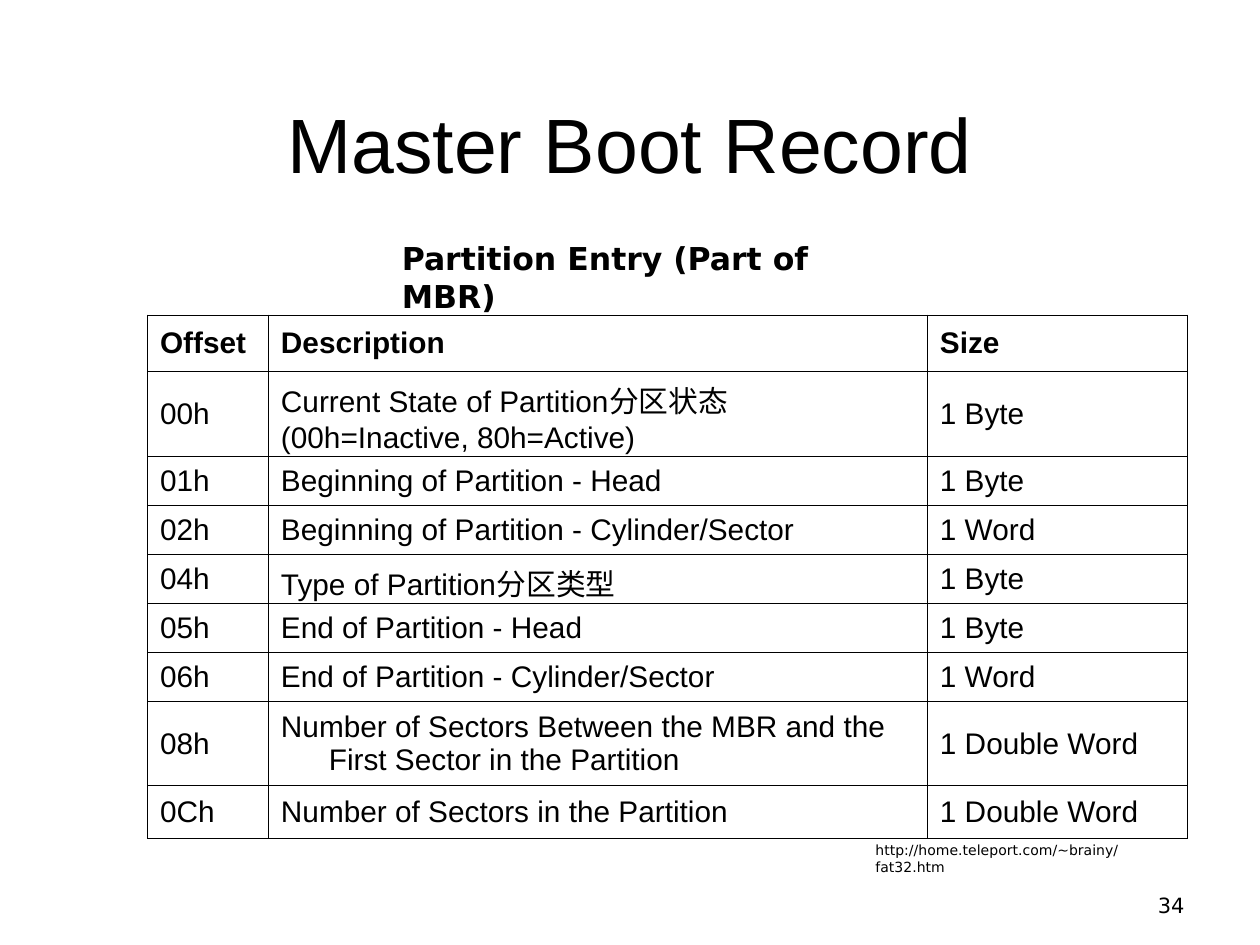
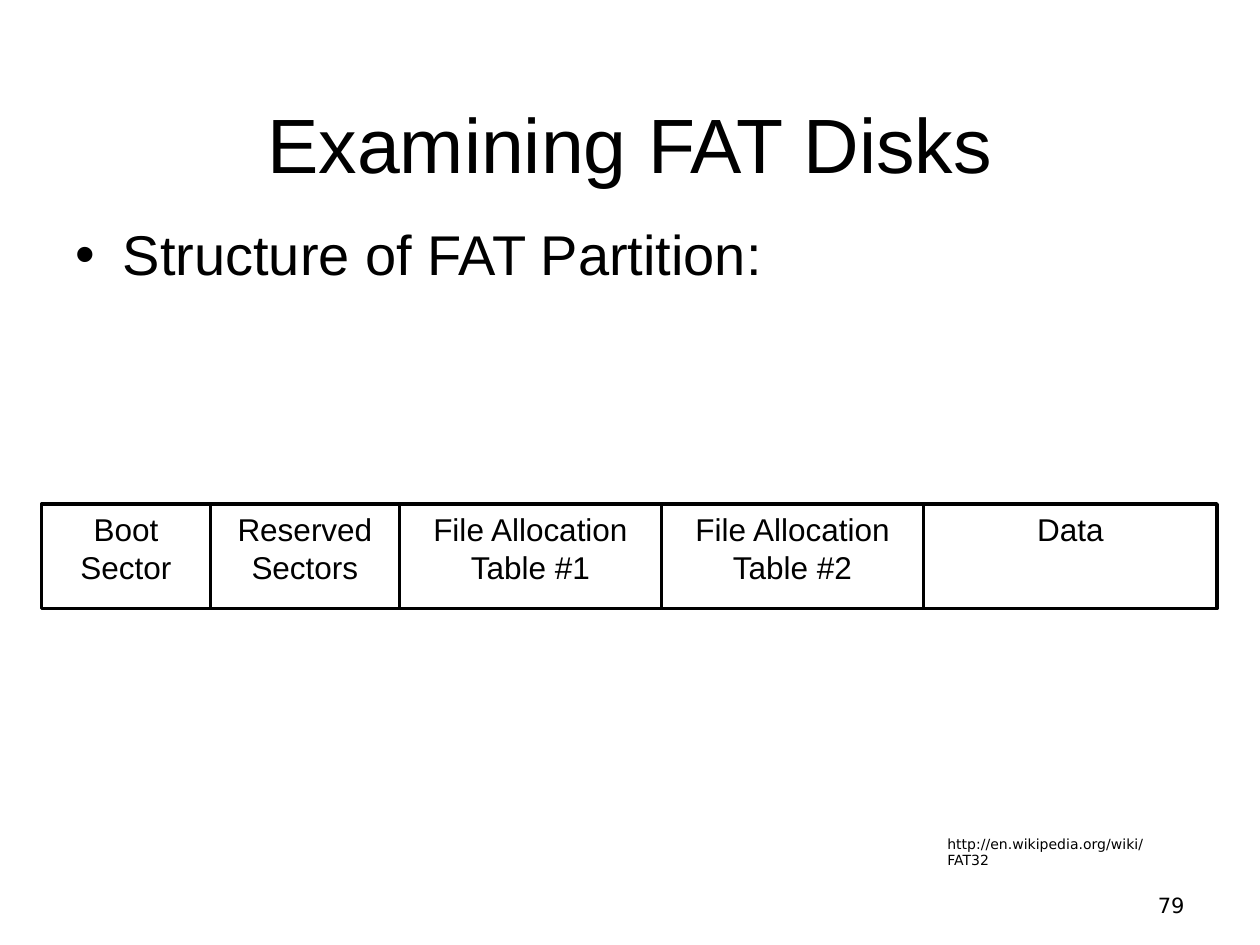
import pptx
import pptx.util
import pptx.dml.color
import pptx.enum.text
import pptx.enum.shapes
import pptx.oxml
import pptx.oxml.ns

PX = 9144  # 100 px to the inch
COLORS = {"ink": "000000", "paper": "FFFFFF"}
SANS, MONO = "Arial", "DejaVu Sans"
ALIGN = pptx.enum.text.PP_ALIGN
ANCHOR = pptx.enum.text.MSO_ANCHOR
FIT = pptx.enum.text.MSO_AUTO_SIZE
TITLE = (50, 30, 900, 125)
NUMBER = (717, 683, 233, 50)
HANG = 38

COLS = (96, 523, 206)
ROWS = (45, 67, 39, 39, 39, 39, 39, 66, 42)
ENTRY = (
    ("Offset", "Description", "Size"),
    ("00h", "Current State of Partition分区状态\n(00h=Inactive, 80h=Active)", "1 Byte"),
    ("01h", "Beginning of Partition - Head", "1 Byte"),
    ("02h", "Beginning of Partition - Cylinder/Sector", "1 Word"),
    ("04h", "Type of Partition分区类型", "1 Byte"),
    ("05h", "End of Partition - Head", "1 Byte"),
    ("06h", "End of Partition - Cylinder/Sector", "1 Word"),
    ("08h", "Number of Sectors Between the MBR and the First Sector in the Partition",
     "1 Double Word"),
    ("0Ch", "Number of Sectors in the Partition", "1 Double Word"),
)
PARTS = (
    ("Boot Sector", 134),
    ("Reserved Sectors", 150),
    ("File Allocation Table #1", 208),
    ("File Allocation Table #2", 208),
    ("Data", 233),
)


def emu(*sizes):
    return [pptx.util.Emu(size * PX) for size in sizes]


def color(name):
    return pptx.dml.color.RGBColor.from_string(COLORS[name])


def paint(fill, name):
    fill.solid()
    fill.fore_color.rgb = color(name)


def write(frame, text, size, face=SANS, bold=False, align=ALIGN.LEFT,
          anchor=ANCHOR.TOP):
    """Fill a text frame, one paragraph a line."""
    frame.word_wrap = True
    frame.vertical_anchor = anchor
    for i, line in enumerate(text.split("\n")):
        para = frame.add_paragraph() if i else frame.paragraphs[0]
        para.alignment = align
        run = para.add_run()
        run.text = line
        font = run.font
        font.name, font.size, font.bold = face, pptx.util.Pt(size), bold
        font.color.rgb = color("ink")


def place(shape, box):
    shape.left, shape.top, shape.width, shape.height = emu(*box)
    shape.text_frame.auto_size = FIT.NONE


def label(slide, box, text, size, **style):
    shape = slide.shapes.add_textbox(*emu(*box))
    write(shape.text_frame, text, size, MONO, **style)


def start(deck, layout, title, number, source, box):
    """Add a slide with its title, page number and source address."""
    slide = deck.slides.add_slide(deck.slide_layouts.get_by_name(layout))
    place(slide.shapes.title, TITLE)
    write(slide.shapes.title.text_frame, title, 44, align=ALIGN.CENTER,
          anchor=ANCHOR.BOTTOM)
    label(slide, NUMBER, number, 12, align=ALIGN.RIGHT, anchor=ANCHOR.BOTTOM)
    label(slide, box, source, 8)
    return slide


def border(cell):
    props = cell._tc.get_or_add_tcPr()
    space = pptx.oxml.ns.nsdecls("a")
    for i, side in enumerate(("lnL", "lnR", "lnT", "lnB")):
        props.insert(i, pptx.oxml.parse_xml(
            f'<a:{side} {space} w="5715"><a:solidFill>'
            f'<a:srgbClr val="{COLORS["ink"]}"/></a:solidFill></a:{side}>'))


def grid(slide, left, top):
    """Draw the table of partition entry fields."""
    box = emu(left, top, sum(COLS), sum(ROWS))
    table = slide.shapes.add_table(len(ROWS), len(COLS), *box).table
    table.horz_banding = False
    for col, width in zip(table.columns, emu(*COLS)):
        col.width = width
    for row, height in zip(table.rows, emu(*ROWS)):
        row.height = height
    for r, texts in enumerate(ENTRY):
        for c, text in enumerate(texts):
            cell = table.cell(r, c)
            write(cell.text_frame, text, 17, bold=r == 0)
            cell.vertical_anchor = ANCHOR.MIDDLE
            for para in cell.text_frame.paragraphs:
                props = para._p.get_or_add_pPr()
                props.set("marL", str(HANG * PX))
                props.set("indent", str(-HANG * PX))
            paint(cell.fill, "paper")
            border(cell)


def strip(slide, left, top, height):
    """Draw the parts of the disk side by side."""
    for text, width in PARTS:
        shape = slide.shapes.add_shape(
            pptx.enum.shapes.MSO_SHAPE.RECTANGLE, *emu(left, top, width, height))
        shape.shadow.inherit = False
        paint(shape.fill, "paper")
        shape.line.color.rgb = color("ink")
        shape.line.width = pptx.util.Pt(2)
        write(shape.text_frame, text, 18, align=ALIGN.CENTER)
        left += width


def record(deck):
    slide = start(deck, "Title Only", "Master Boot Record", "34",
                  "http://home.teleport.com/~brainy/fat32.htm", (685, 663, 253, 24))
    grid(slide, 117, 250)
    label(slide, (309, 200, 382, 40), "Partition Entry (Part of MBR)", 18,
          bold=True, anchor=ANCHOR.MIDDLE)


def disks(deck):
    slide = start(deck, "Title and Content", "Examining FAT Disks", "79",
                  "http://en.wikipedia.org/wiki/FAT32", (742, 658, 201, 24))
    body = slide.placeholders[1]
    place(body, (50, 175, 900, 119))
    write(body.text_frame, "Structure of FAT Partition:", 32)
    para = body.text_frame.paragraphs[0]
    para.line_spacing = 0.9
    para.space_before = pptx.util.Pt(0)
    strip(slide, 33, 400, 83)


def main():
    deck = pptx.Presentation()
    deck.slide_width, deck.slide_height = emu(1000, 750)
    record(deck)
    disks(deck)
    deck.save("out.pptx")


if __name__ == "__main__":
    main()
